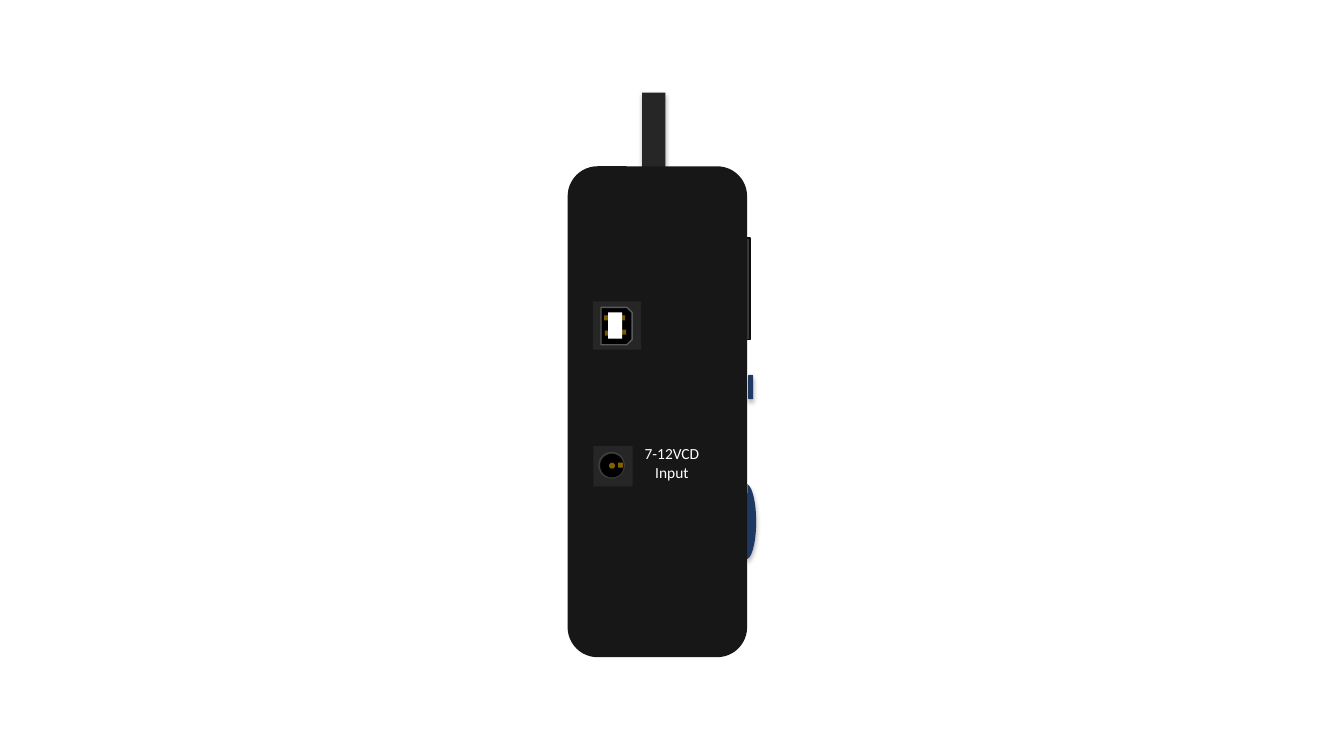
from lxml import etree
from pptx import Presentation
from pptx import util as u
from pptx.dml.color import RGBColor
from pptx.enum import shapes, text
from pptx.oxml.ns import qn

COLORS = {
    "case": "181717", "panel": "262626", "edge": "3B3838", "edge_line": "0D0D0D",
    "knob": "203864", "black": "000000", "white": "FFFFFF", "brass": "806000",
    "usb_line": "595959", "jack_line": "404040",
}
KIND = shapes.MSO_SHAPE


class Drawing:
    """Holds the style and the current slide."""

    def __init__(self, prs):
        self.s = prs.slides.add_slide(prs.slide_layouts[6])
        self.font = {"name": "Calibri", "size": u.Pt(11)}

    def color(self, name):
        return RGBColor.from_string(COLORS[name])

    def shape(self, kind, box, fill, line=None, rot=0, shadow=False):
        sp = self.s.shapes.add_shape(kind, *map(u.Inches, box))
        sp.rotation = rot
        sp.fill.solid()
        sp.fill.fore_color.rgb = self.color(fill)
        if line:
            sp.line.color.rgb = self.color(line)
            sp.line.width = u.Pt(1)
        else:
            sp.line.fill.background()
        sp.shadow.inherit = False
        if shadow:
            self.soft_shadow(sp)
        return sp

    def soft_shadow(self, sp):
        effects = sp.element.spPr.find(qn("a:effectLst"))
        outer = etree.SubElement(effects, qn("a:outerShdw"), blurRad=str(u.Pt(3.5)),
                                 dist=str(u.Pt(2.2)), dir="5400000", rotWithShape="0")
        clr = etree.SubElement(outer, qn("a:srgbClr"), val=COLORS["black"])
        etree.SubElement(clr, qn("a:alpha"), val="32000")

    def label(self, box, lines, color):
        sp = self.s.shapes.add_textbox(*map(u.Inches, box))
        tf = sp.text_frame
        tf.word_wrap = True
        tf.auto_size = text.MSO_AUTO_SIZE.SHAPE_TO_FIT_TEXT
        for i, line in enumerate(lines):
            p = tf.add_paragraph() if i else tf.paragraphs[0]
            p.alignment = text.PP_ALIGN.CENTER
            r = p.add_run()
            r.text = line
            for name, value in self.font.items():
                setattr(r.font, name, value)
            r.font.color.rgb = self.color(color)


def main():
    prs = Presentation()
    prs.slide_width, prs.slide_height = u.Inches(13.33), u.Inches(7.5)
    d = Drawing(prs)

    # Antenna, side edge and controls behind the case
    d.shape(KIND.RECTANGLE, (6.37, 0.92, 0.23, 2.84), "panel", shadow=True)
    d.shape(KIND.RECTANGLE, (7.39, 2.36, 0.05, 1.01), "edge", "edge_line")
    d.shape(KIND.ROUNDED_RECTANGLE, (7.42, 3.72, 0.05, 0.24), "knob", shadow=True)
    knob = d.shape(KIND.CHORD, (7.3, 4.8, 0.2, 0.75), "knob", shadow=True)
    knob.adjustments[0], knob.adjustments[1] = 54.23, 160.8
    knob.element.spPr.find(qn("a:xfrm")).set("flipH", "1")

    # Case
    d.shape(KIND.ROUNDED_RECTANGLE, (5.63, 1.65, 1.78, 4.87), "case")

    # USB port
    d.shape(KIND.RECTANGLE, (5.88, 2.99, 0.48, 0.48), "panel", rot=90)
    d.shape(KIND.SNIP_2_SAME_RECTANGLE, (5.93, 3.08, 0.37, 0.31), "black", "usb_line", 90)
    for x, y in ((5.99, 3.13), (6.15, 3.13), (6, 3.28), (6.16, 3.27)):
        d.shape(KIND.RECTANGLE, (x, y, 0.05, 0.05), "brass", rot=90)
    d.shape(KIND.RECTANGLE, (5.97, 3.16, 0.26, 0.14), "white", rot=90, shadow=True)

    # Power jack
    d.shape(KIND.RECTANGLE, (5.88, 4.43, 0.4, 0.39), "panel", rot=90)
    d.shape(KIND.OVAL, (5.94, 4.49, 0.25, 0.25), "panel", "jack_line")
    d.shape(KIND.OVAL, (5.96, 4.51, 0.22, 0.22), "black", "black")
    d.shape(KIND.OVAL, (6.04, 4.59, 0.06, 0.06), "brass", shadow=True)
    d.shape(KIND.RECTANGLE, (6.13, 4.59, 0.05, 0.05), "brass", rot=90)
    d.label((4.7, 4.36, 3.93, 0.47), ("7-12VCD", "Input"), "white")

    prs.save("out.pptx")


if __name__ == "__main__":
    main()
